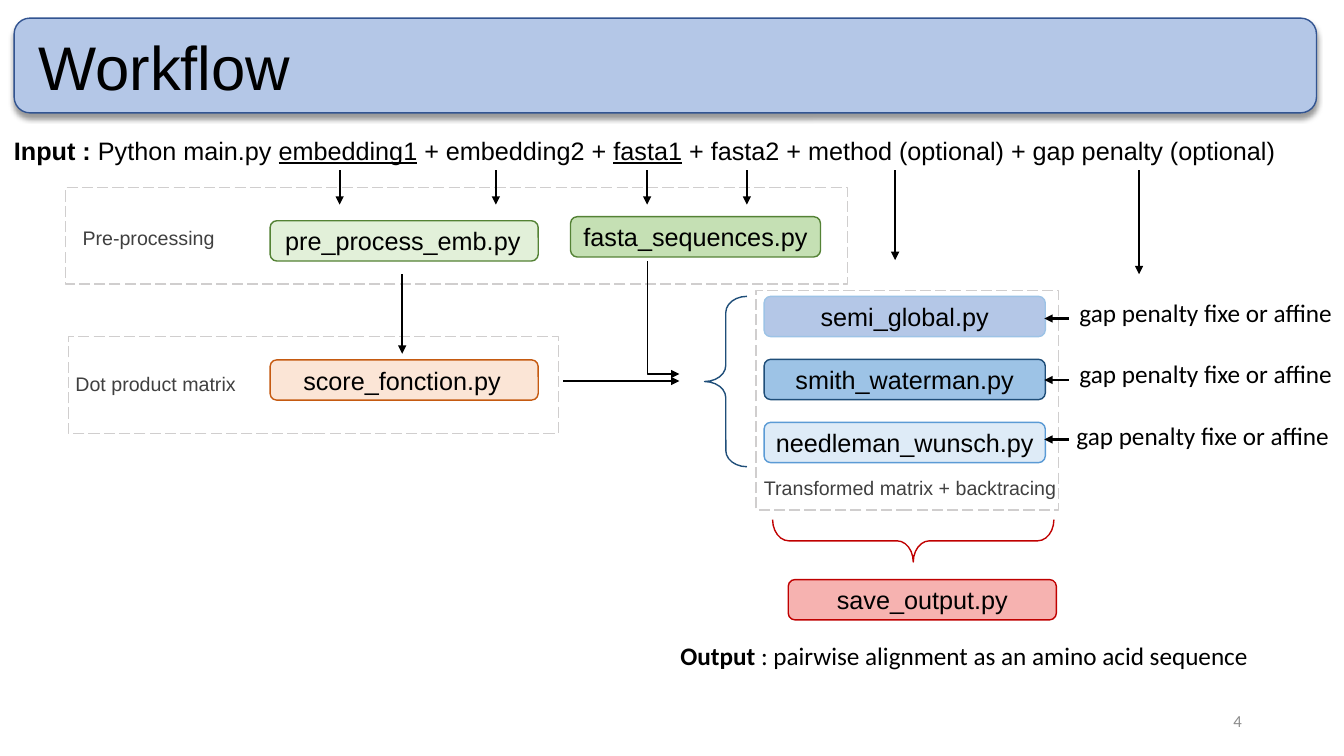
from lxml.etree import SubElement
from pptx import Presentation
from pptx.dml.color import RGBColor
from pptx.enum.dml import MSO_LINE
from pptx.enum.shapes import MSO_CONNECTOR, MSO_SHAPE
from pptx.enum.text import MSO_ANCHOR, MSO_AUTO_SIZE, PP_ALIGN
from pptx.oxml.ns import qn
from pptx.util import Inches, Pt

CELL = 0.1  # inches per grid column and row
COLUMNS, ROWS = 133.33, 75

COLORS = {
    "black": "000000", "label": "404040", "number": "8C8C8C", "frame": "D0CECE",
    "banner": "B4C7E7", "banner line": "325491",
    "light green": "E2F0D9", "green": "C5E0B4", "green line": "548235",
    "orange": "FBE5D6", "orange line": "C55A11",
    "sky": "9DC3E6", "pale blue": "DEEBF7", "mid blue": "5B9BD5", "navy": "1F4E79",
    "pink": "F6B2B0", "red": "C00000",
}


def cells(*counts):
    return [Inches(count * CELL) for count in counts]


def color(name):
    return RGBColor.from_string(COLORS[name])


class Diagram:
    """Draws on one page; all places are in grid columns and rows."""

    def __init__(self, page):
        self.page = page

    def fill_text(self, box, spans, size, font="Arial", ink="black",
                  align=PP_ALIGN.LEFT, anchor=MSO_ANCHOR.TOP):
        """Spans are (text, style) pairs; the style may hold b and u."""
        frame = box.text_frame
        frame.word_wrap = True
        frame.auto_size = MSO_AUTO_SIZE.NONE
        frame.vertical_anchor = anchor
        para = frame.paragraphs[0]
        para.alignment = align
        for text, style in spans:
            span = para.add_run()
            span.text = text
            span.font.name, span.font.size = font, Pt(size)
            span.font.color.rgb = color(ink)
            span.font.bold = "b" in style
            span.font.underline = "u" in style
        return para

    def title(self, text, *place):
        box = self.page.shapes.title
        box.left, box.top, box.width, box.height = cells(*place)
        para = self.fill_text(box, [(text, "")], 44, anchor=MSO_ANCHOR.MIDDLE)
        para.line_spacing = 0.9
        self.page.shapes._spTree.append(box._element)  # in front of the banner

    def text(self, place, spans, size=18, **style):
        box = self.page.shapes.add_textbox(*cells(*place))
        self.fill_text(box, spans, size, **style)

    def shape(self, kind, place, line, fill=None):
        shape = self.page.shapes.add_shape(kind, *cells(*place))
        shape.shadow.inherit = False
        if fill:
            shape.fill.solid()
            shape.fill.fore_color.rgb = color(fill)
        else:
            shape.fill.background()
        shape.line.color.rgb = color(line)
        shape.line.width = Pt(1)
        return shape

    def banner(self, *place):
        shape = self.shape(MSO_SHAPE.ROUNDED_RECTANGLE, place, "banner line", "banner")
        effects = shape._element.spPr.find(qn("a:effectLst"))
        shadow = SubElement(effects, qn("a:outerShdw"), blurRad=str(Pt(4)),
                            dist=str(Pt(3)), dir="5400000", rotWithShape="0")
        ink = SubElement(shadow, qn("a:srgbClr"), val=COLORS["black"])
        SubElement(ink, qn("a:alpha"), val="40000")

    def frame(self, *place):
        self.shape(MSO_SHAPE.RECTANGLE, place, "frame").line.dash_style = MSO_LINE.LONG_DASH

    def module(self, name, left, top, width, fill, line, indent=None):
        box = self.shape(MSO_SHAPE.ROUNDED_RECTANGLE, (left, top, width, 4), line, fill)
        align = PP_ALIGN.CENTER if indent is None else PP_ALIGN.LEFT
        self.fill_text(box, [(name, "")], 18, align=align, anchor=MSO_ANCHOR.MIDDLE)
        frame = box.text_frame
        frame.margin_left, frame.margin_right = cells(indent or 0, 0)

    def brace(self, place, line, rotation=0):
        brace = self.shape(MSO_SHAPE.LEFT_BRACE, place, line)
        brace.adjustments[0] = 0.383
        brace.rotation = rotation

    def arrow(self, *ends, kind=MSO_CONNECTOR.STRAIGHT, width=1.5):
        arrow = self.page.shapes.add_connector(kind, *cells(*ends))
        arrow.line.color.rgb = color("black")
        arrow.line.width = Pt(width)
        SubElement(arrow.line._get_or_add_ln(), qn("a:tailEnd"), type="triangle")
        SubElement(arrow._element.spPr, qn("a:effectLst"))
        return arrow

    def down_then_right(self, left, top, right, bottom):
        """An elbow turned a quarter, so that it leaves its start downwards."""
        middle_x, middle_y = (left + right) / 2, (top + bottom) / 2
        half_run, half_rise = (bottom - top) / 2, (right - left) / 2
        arrow = self.arrow(middle_x - half_run, middle_y - half_rise,
                           middle_x + half_run, middle_y + half_rise,
                           kind=MSO_CONNECTOR.ELBOW, width=1)
        properties = arrow._element.spPr
        transform = properties.find(qn("a:xfrm"))
        transform.set("rot", "16200000")
        transform.set("flipH", "1")
        guides = properties.find(qn("a:prstGeom")).get_or_add_avLst()
        SubElement(guides, qn("a:gd"), name="adj1", fmla="val 100000")


def main():
    deck = Presentation()
    deck.slide_width, deck.slide_height = cells(COLUMNS, ROWS)
    diagram = Diagram(deck.slides.add_slide(deck.slide_layouts[5]))

    # Heading and input line
    diagram.banner(1.4, 1.8, 129.2, 9.4)
    diagram.title("Workflow", 2.8, 2.9, 123, 8.2)
    diagram.text((0.4, 12.9, 127.7, 4), [
        ("Input : ", "b"), ("Python main.py ", ""), ("embedding1", "u"),
        (" + embedding2 + ", ""), ("fasta1", "u"),
        (" + fasta2 + method (optional) + gap penalty (optional)", "")])

    # Dashed stages with their labels
    diagram.frame(6.5, 18.6, 77.6, 9.6)
    diagram.frame(6.8, 33.4, 48.6, 9.6)
    diagram.frame(75, 28.8, 30, 21.8)
    for label, left, top, width in [
            ("Pre-processing", 7.2, 21.9, 20.2),
            ("Dot product matrix", 6.5, 36.4, 18),
            ("Transformed matrix + backtracing", 74.8, 46.7, 41.6)]:
        diagram.text((left, top, width, 3.4), [(label, "")], 14, ink="label")

    # Script boxes
    diagram.module("pre_process_emb.py", 26.8, 21.9, 26.6, "light green", "green line", 1.3)
    diagram.module("fasta_sequences.py", 56.6, 21.5, 24.8, "green", "green line")
    diagram.module("score_fonction.py", 26.8, 35.7, 26.6, "orange", "orange line", 3.1)
    diagram.module("save_output.py", 78.2, 57.5, 26.6, "pink", "red")

    # Alignment methods, each with its gap penalty
    methods = [("semi_global.py", "banner", "sky", 106.1, 31.6),
               ("smith_waterman.py", "sky", "navy", 106.1, 37.7),
               ("needleman_wunsch.py", "pale blue", "mid blue", 105.8, 43.6)]
    for index, (name, fill, line, note_left, arrow_row) in enumerate(methods):
        diagram.module(name, 75.8, 29.4 + 6.25 * index, 27.9, fill, line)
        diagram.text((note_left, 29 + 6.1 * index, 27.9, 4),
                     [("gap penalty fixe or affine", "")], font="Calibri")
        diagram.arrow(106, arrow_row, 103.6, arrow_row)

    # Arrows from the inputs, then between the stages
    for column, end in [(33.7, 20.3), (49.2, 20.3), (64.2, 20.3), (74.1, 20.3),
                        (88.8, 25.8), (113, 27.2)]:
        diagram.arrow(column, 16.9, column, end)
    diagram.arrow(39.9, 27.2, 39.9, 35.1)
    diagram.arrow(55.9, 37.8, 67.4, 37.8)
    diagram.down_then_right(64.2, 25.9, 67.4, 37.1)

    # Braces around the methods
    diagram.brace((69.9, 29.4, 4.2, 16.9), "navy")
    diagram.brace((88.5, 39.7, 4.2, 27.9), "red", 270)

    # Output line and page number
    diagram.text((66.5, 63, 59.5, 4), [
        ("Output", "b"), (" : pairwise alignment as an amino acid sequence", "")],
        font="Calibri")
    diagram.text((94.2, 69.5, 30, 4), [("4", "")], 12, font="Calibri", ink="number",
                 align=PP_ALIGN.RIGHT, anchor=MSO_ANCHOR.MIDDLE)

    deck.save("out.pptx")


if __name__ == "__main__":
    main()
